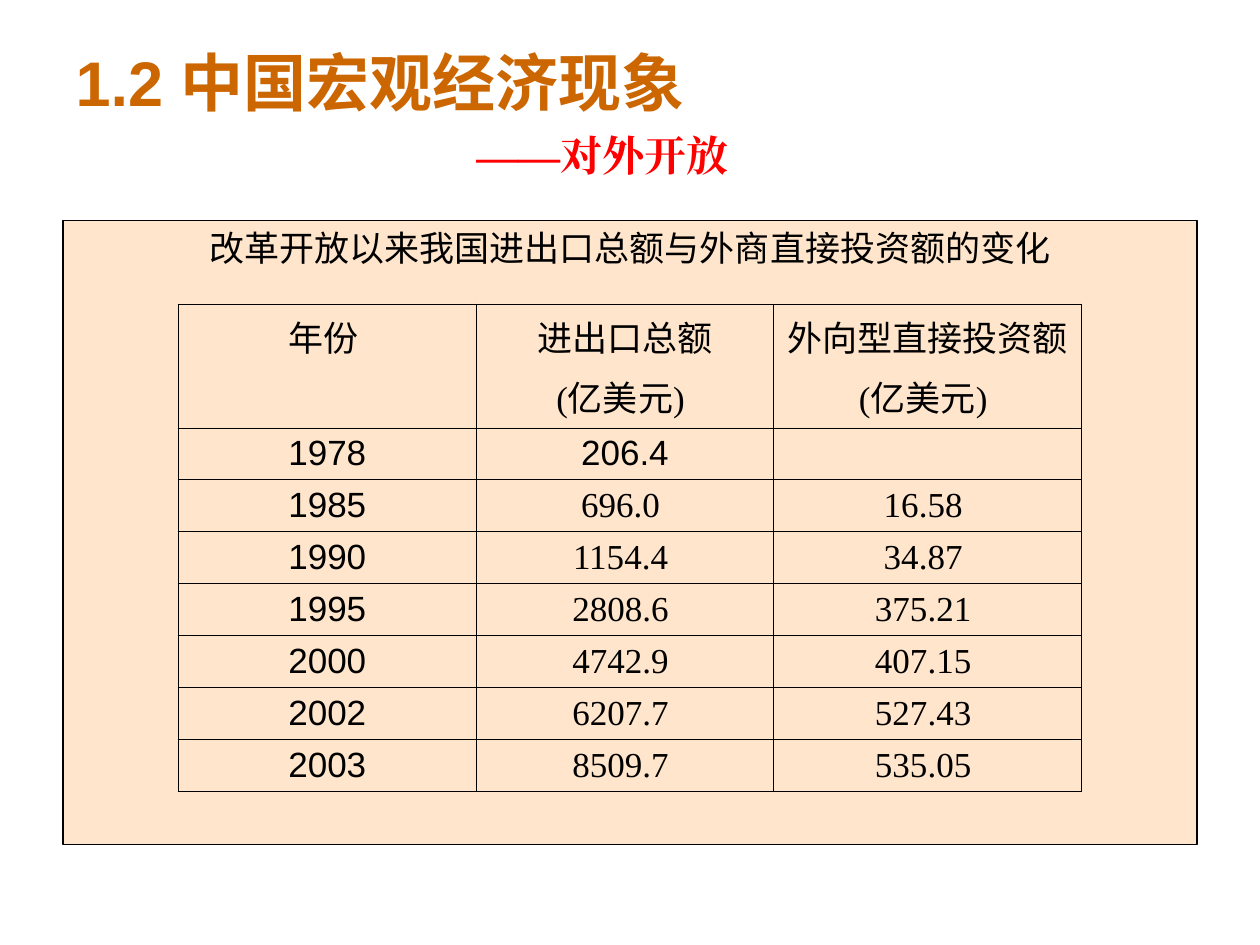
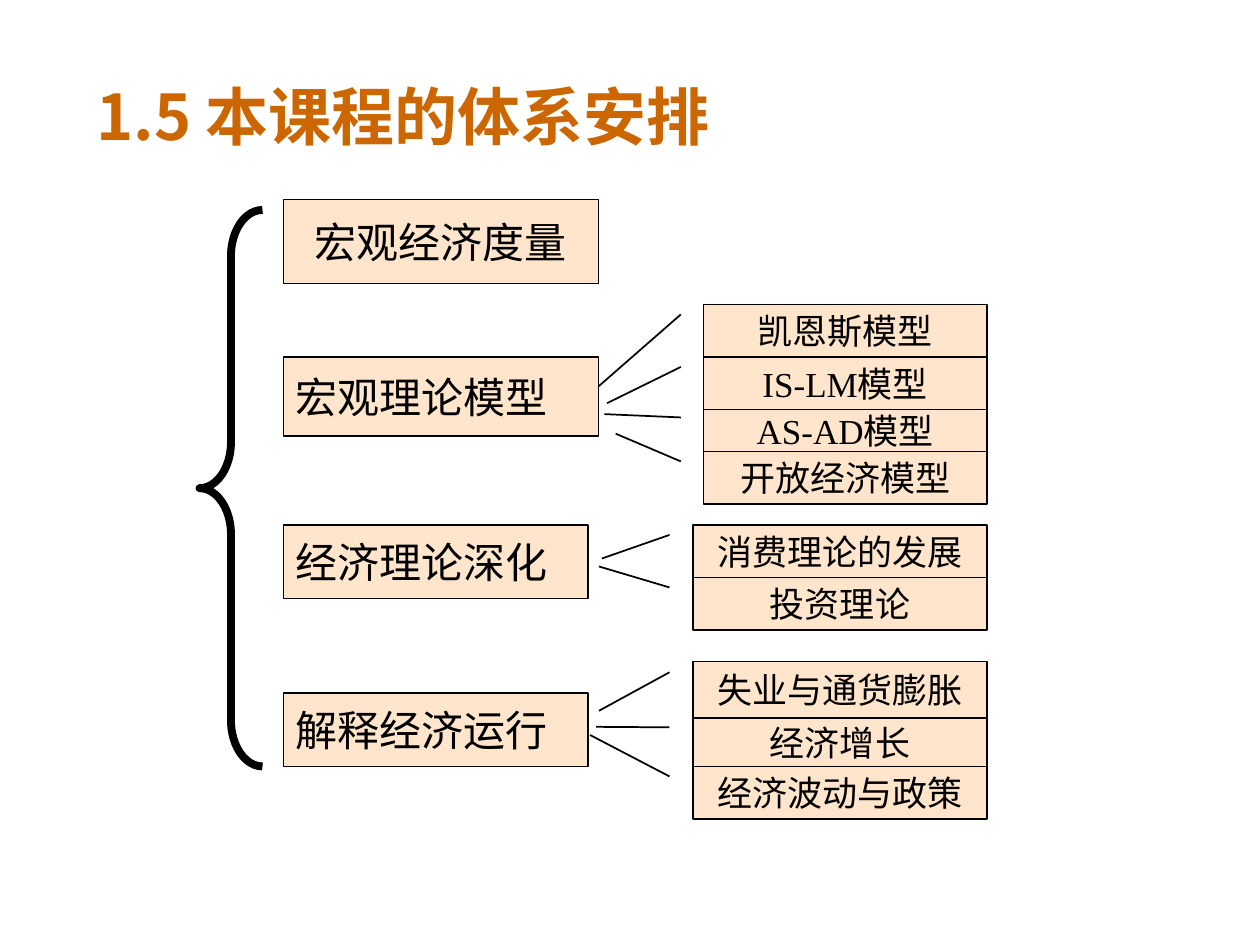
from lxml.etree import SubElement
from pptx import Presentation
from pptx.dml.color import RGBColor
from pptx.enum.shapes import MSO_SHAPE
from pptx.enum.text import MSO_ANCHOR, MSO_AUTO_SIZE, PP_ALIGN
from pptx.oxml.ns import qn
from pptx.util import Inches, Pt

ARIAL, NOTO, TIMES = "Arial", "Noto Sans CJK SC", "Times New Roman"
ORANGE, RED, BLACK, PEACH = "CC6600", "FF0000", "000000", "FFCC99"
UNITS_PER_INCH = 12

TRADE_TITLE = [("1.2 ", ARIAL), ("中国宏观经济现象", NOTO)]
TRADE_SUBTITLE = "——对外开放"
TABLE_CAPTION = "改革开放以来我国进出口总额与外商直接投资额的变化"
UNIT_LABEL = [("(", TIMES), ("亿美元", NOTO), (") ", TIMES)]
TABLE_HEADER = [["年份 "], ["进出口总额", UNIT_LABEL], ["外向型直接投资额", UNIT_LABEL]]
TRADE_ROWS = [
    ("1978", "206.4", ""),
    ("1985", "696.0 ", "16.58 "),
    ("1990", "1154.4 ", "34.87 "),
    ("1995", "2808.6 ", "375.21 "),
    ("2000", "4742.9 ", "407.15 "),
    ("2002", "6207.7 ", "527.43 "),
    ("2003", "8509.7 ", "535.05 "),
]
COLUMN_WIDTHS = (28.35, 28.35, 29.3)
HEADER_HEIGHT, ROW_HEIGHT = 11.75, 4.95

COURSE_TITLE = "1.5 本课程的体系安排"
COURSE_PARTS = [
    ("宏观经济度量", (27, 19, 30, 8), PP_ALIGN.CENTER),
    ("宏观理论模型", (27, 34, 30, 7.5), PP_ALIGN.LEFT),
    ("经济理论深化", (27, 50, 29, 7), PP_ALIGN.LEFT),
    ("解释经济运行", (27, 66, 29, 7), PP_ALIGN.LEFT),
]
TOPIC_STACKS = [
    (67, 29, 27, [
        ("凯恩斯模型", 5, 1.56, -0.37),
        ("IS-LM模型", 5, 0.88, -0.34),
        ("AS-AD模型", 4, 0.11, -0.35),
        ("开放经济模型", 5, -0.34, -0.31),
    ]),
    (66, 50, 28, [
        ("消费理论的发展", 5, 0.64, -0.31),
        ("投资理论", 5, -0.21, -0.32),
    ]),
    (66, 63, 28, [
        ("失业与通货膨胀", 5.4, 0.87, -0.32),
        ("经济增长", 4.6, 0.18, -0.33),
        ("经济波动与政策", 5, -0.6, -0.35),
    ]),
]


def color(hex_string):
    return RGBColor.from_string(hex_string)


def units(*values):
    return [Inches(value / UNITS_PER_INCH) for value in values]


def write(frame, text, font=NOTO, size=20, ink=BLACK, bold=False,
          align=PP_ALIGN.CENTER, before=0, indent=0, east_asian=NOTO):
    paragraph = frame.paragraphs[-1]
    if paragraph.runs:
        paragraph = frame.add_paragraph()
    properties = paragraph._p.get_or_add_pPr()
    properties.set("marL", str(Inches(indent)))
    properties.set("indent", "0")
    SubElement(properties, qn("a:buNone"))
    paragraph.alignment = align
    paragraph.space_before = Pt(before)
    for words, face in [(text, font)] if isinstance(text, str) else text:
        run = paragraph.add_run()
        run.text = words
        run.font.size = Pt(size)
        run.font.bold = bold
        run.font.color.rgb = color(ink)
        run.font.name = face
        SubElement(run._r.get_or_add_rPr(), qn("a:ea"), typeface=east_asian)


def place(shape, box):
    shape.left, shape.top, shape.width, shape.height = units(*box)


def fill_panel(shape, line_width):
    shape.fill.solid()
    shape.fill.fore_color.rgb = color(PEACH)
    tint = shape._element.spPr.find(qn("a:solidFill")).find(qn("a:srgbClr"))
    SubElement(tint, qn("a:alpha"), val="50000")
    shape.line.color.rgb = color(BLACK)
    shape.line.width = Pt(line_width)


def add_title(slide, text, box):
    title = slide.shapes.title
    place(title, box)
    frame = title.text_frame
    frame.auto_size = MSO_AUTO_SIZE.NONE
    frame.vertical_anchor = MSO_ANCHOR.MIDDLE
    write(frame, text, size=36, ink=ORANGE, bold=True, align=PP_ALIGN.LEFT)
    return frame


def add_box(slide, kind, box, text, size, align=PP_ALIGN.CENTER):
    shape = slide.shapes.add_shape(kind, *units(*box))
    shape.shadow.inherit = False
    fill_panel(shape, 1)
    shape.text_frame.word_wrap = True
    shape.text_frame.vertical_anchor = MSO_ANCHOR.MIDDLE
    write(shape.text_frame, text, TIMES, size, align=align)
    return shape


def set_borders(cell, widths):
    properties = cell._tc.get_or_add_tcPr()
    for position, (side, width) in enumerate(widths.items()):
        line = properties.makeelement(qn(f"a:ln{side}"), w=str(Pt(width)))
        SubElement(SubElement(line, qn("a:solidFill")), qn("a:srgbClr"), val=BLACK)
        properties.insert(position, line)


def add_trade_table(slide):
    row_heights = [HEADER_HEIGHT] + [ROW_HEIGHT] * len(TRADE_ROWS)
    last_row, last_column = len(TRADE_ROWS), len(COLUMN_WIDTHS) - 1
    table = slide.shapes.add_table(
        last_row + 1, last_column + 1,
        *units(17, 29, sum(COLUMN_WIDTHS), sum(row_heights))).table
    table.first_row = table.horz_banding = False
    for column, width in zip(table.columns, units(*COLUMN_WIDTHS)):
        column.width = width
    for row, height in zip(table.rows, units(*row_heights)):
        row.height = height
    contents = [TABLE_HEADER] + [[[value] for value in row] for row in TRADE_ROWS]
    for row, cells in enumerate(contents):
        for column, lines in enumerate(cells):
            cell = table.cell(row, column)
            cell.fill.background()
            font = NOTO if row == 0 else ARIAL if row == 1 or column == 0 else TIMES
            for number, line in enumerate(lines):
                write(cell.text_frame, line, font, before=5 if number else 0)
            outer = {"L": column == 0, "R": column == last_column,
                     "T": row == 0, "B": row == last_row}
            set_borders(cell, {side: 1.08 if edge else 0.45 for side, edge in outer.items()})


def build_trade_slide(presentation):
    slide = presentation.slides.add_slide(presentation.slide_layouts[1])
    frame = add_title(slide, TRADE_TITLE, (6, 3.6, 108, 15))
    frame.margin_bottom = Inches(0.13)
    write(frame, TRADE_SUBTITLE, TIMES, 24, RED, True, PP_ALIGN.LEFT,
          before=6, indent=3.18, east_asian=TIMES)
    panel = slide.placeholders[1]
    place(panel, (6, 21, 108, 59.4))
    fill_panel(panel, 0.75)
    panel.text_frame.auto_size = MSO_AUTO_SIZE.NONE
    write(panel.text_frame, TABLE_CAPTION, ARIAL)
    add_trade_table(slide)


def build_course_slide(presentation):
    slide = presentation.slides.add_slide(presentation.slide_layouts[5])
    add_title(slide, COURSE_TITLE, (8, 8, 104, 6))
    brace = slide.shapes.add_shape(MSO_SHAPE.LEFT_BRACE, *units(19, 20, 6, 53))
    brace.shadow.inherit = False
    brace.adjustments[0] = 0.73
    brace.fill.background()
    brace.line.color.rgb = color(BLACK)
    brace.line.width = Pt(4.5)
    for text, box, align in COURSE_PARTS:
        add_box(slide, MSO_SHAPE.RECTANGLE, box, text, 24, align)
    for left, top, width, topics in TOPIC_STACKS:
        for text, height, pointer_y, pointer_x in topics:
            callout = add_box(slide, MSO_SHAPE.LINE_CALLOUT_1,
                              (left, top, width, height), text, 20)
            for index, value in enumerate((0.19, -0.08, pointer_y, pointer_x)):
                callout.adjustments[index] = value
            top += height


def main():
    presentation = Presentation()
    presentation.slide_width, presentation.slide_height = Inches(10), Inches(7.5)
    build_trade_slide(presentation)
    build_course_slide(presentation)
    presentation.save("out.pptx")


if __name__ == "__main__":
    main()
